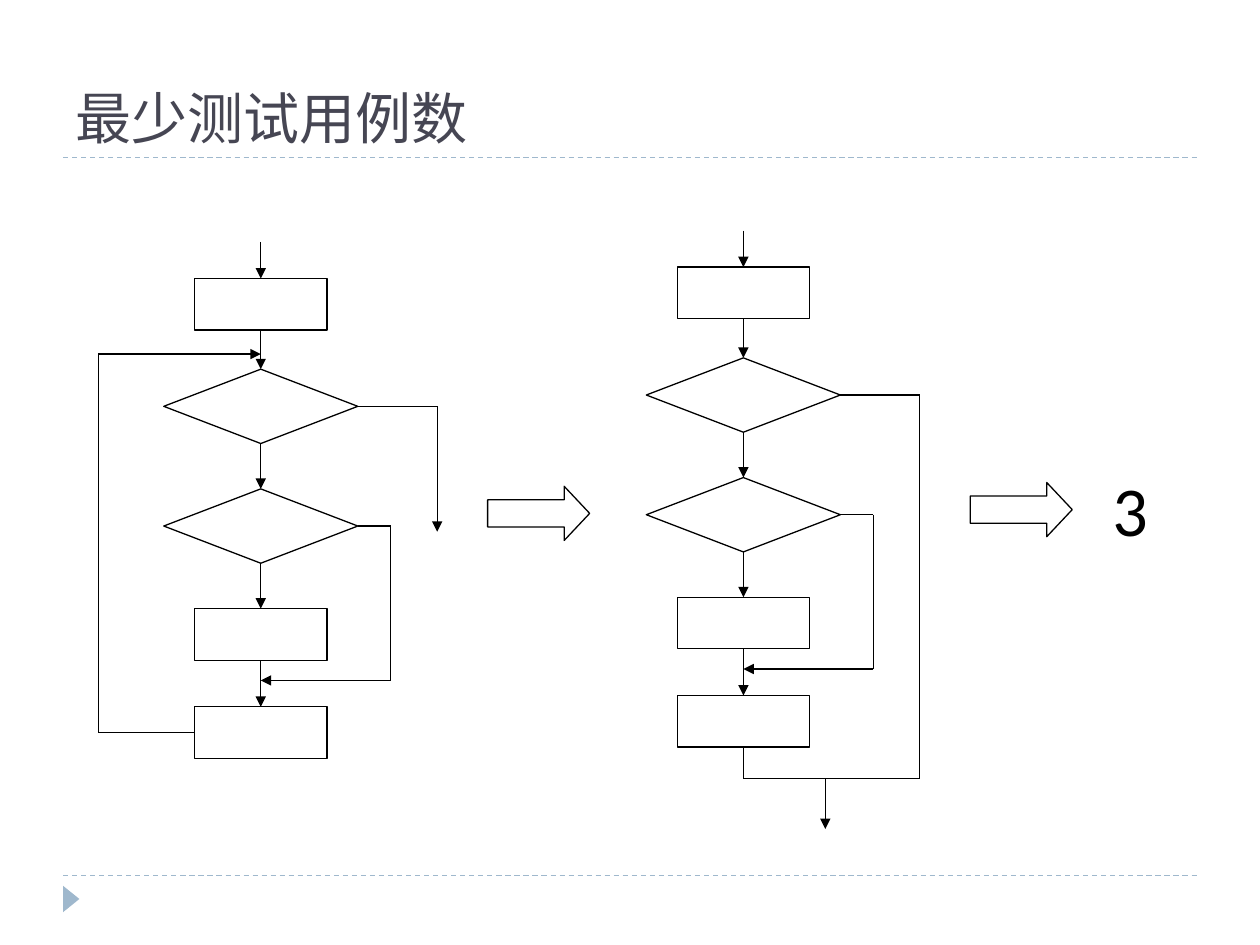
from dataclasses import dataclass
from itertools import pairwise

from lxml.etree import SubElement
from pptx import Presentation
from pptx.dml.color import RGBColor
from pptx.enum.dml import MSO_LINE
from pptx.enum.shapes import MSO_CONNECTOR, MSO_SHAPE
from pptx.enum.text import MSO_ANCHOR, PP_ALIGN
from pptx.oxml.ns import qn
from pptx.util import Inches, Pt


@dataclass(frozen=True)
class Theme:
    ink: RGBColor = RGBColor(0x00, 0x00, 0x00)
    heading: RGBColor = RGBColor(0x46, 0x46, 0x53)
    accent: RGBColor = RGBColor(0x9F, 0xB8, 0xCD)
    heading_font: str = "Noto Sans CJK SC"
    body_font: str = "Calibri"
    heading_size: Pt = Pt(32)
    answer_size: Pt = Pt(40)
    stroke: Pt = Pt(0.75)


THEME = Theme()
TOP, LEFT, BOTTOM, RIGHT = range(4)
BOX_SIZE = Inches(1.05), Inches(0.41)
DIAMOND_SIZE = Inches(1.54), Inches(0.59)


def style_text(frame, font, size, color, alignment):
    para = frame.paragraphs[0]
    para.alignment = alignment
    for span in para.runs:
        span.font.name = font
        span.font.size = size
        span.font.color.rgb = color
        properties = span.font._element
        SubElement(properties, qn("a:ea")).set("typeface", font)


def add_title(page, text):
    title = page.shapes.title
    title.left, title.top = Inches(0.5), Inches(0.17)
    title.width, title.height = Inches(9), Inches(1.08)
    title.text_frame.text = text
    title.text_frame.vertical_anchor = MSO_ANCHOR.BOTTOM
    style_text(title.text_frame, THEME.heading_font, THEME.heading_size,
               THEME.heading, PP_ALIGN.LEFT)


def add_line(page, start, end, color=THEME.ink):
    line = page.shapes.add_connector(MSO_CONNECTOR.STRAIGHT, *start, *end)
    line.line.color.rgb = color
    line.line.width = THEME.stroke
    SubElement(line._element.spPr, qn("a:effectLst"))
    return line


def add_arrowhead(line):
    outline = line.line._get_or_add_ln()
    SubElement(outline, qn("a:tailEnd")).set("type", "triangle")


def add_rule(page, top):
    rule = add_line(page, (Inches(0.5), top), (Inches(9.5), top), THEME.accent)
    rule.line.dash_style = MSO_LINE.DASH


def add_route(page, points, source=None, target=None, arrow=True):
    lines = [add_line(page, start, end) for start, end in pairwise(points)]
    if source:
        lines[0].begin_connect(*source)
    if target:
        lines[-1].end_connect(*target)
    if arrow:
        add_arrowhead(lines[-1])


def add_outline(page, kind, left, top, width, height):
    shape = page.shapes.add_shape(kind, left, top, width, height)
    shape.shadow.inherit = False
    shape.fill.background()
    shape.line.color.rgb = THEME.ink
    shape.line.width = THEME.stroke
    return shape


def add_block_arrow(page, left, top):
    arrow = add_outline(page, MSO_SHAPE.RIGHT_ARROW, left, top,
                        Inches(0.81), Inches(0.43))
    arrow.adjustments[1] = 0.47


def add_corner_mark(page):
    mark = page.shapes.add_shape(MSO_SHAPE.ISOSCELES_TRIANGLE, Inches(0.46),
                                 Inches(7.07), Inches(0.21), Inches(0.13))
    mark.rotation = 90
    mark.shadow.inherit = False
    mark.fill.solid()
    mark.fill.fore_color.rgb = THEME.accent
    mark.line.fill.background()


def add_answer(page, text):
    box = page.shapes.add_textbox(Inches(8.73), Inches(3.65),
                                  Inches(1.03), Inches(0.77))
    box.text_frame.word_wrap = True
    box.text_frame.text = text
    style_text(box.text_frame, THEME.body_font, THEME.answer_size,
               THEME.ink, PP_ALIGN.JUSTIFY)


def middle(shape):
    return shape.top + shape.height // 2


def right_edge(shape):
    return shape.left + shape.width


def add_flow(page, axis, top):
    rows = [
        (MSO_SHAPE.RECTANGLE, BOX_SIZE, Inches(0)),
        (MSO_SHAPE.DIAMOND, DIAMOND_SIZE, Inches(0.72)),
        (MSO_SHAPE.DIAMOND, DIAMOND_SIZE, Inches(1.67)),
        (MSO_SHAPE.RECTANGLE, BOX_SIZE, Inches(2.62)),
        (MSO_SHAPE.RECTANGLE, BOX_SIZE, Inches(3.4)),
    ]
    steps = [add_outline(page, kind, axis - width // 2, top + drop, width, height)
             for kind, (width, height), drop in rows]
    first, outer, inner, _, last = steps

    add_route(page, [(axis, top - Inches(0.29)), (axis, top)],
              target=(first, TOP))
    for upper, lower in pairwise(steps):
        add_route(page, [(axis, upper.top + upper.height), (axis, lower.top)],
                  source=(upper, BOTTOM), target=(lower, TOP))

    bypass = axis + Inches(1.03)
    merge = top + Inches(3.19)
    add_route(page, [(right_edge(inner), middle(inner)), (bypass, middle(inner)),
                     (bypass, merge), (axis, merge)], source=(inner, RIGHT))
    return outer, last


def add_loop_flow(page, axis, top):
    outer, last = add_flow(page, axis, top)
    way_out = axis + Inches(1.4)
    add_route(page, [(right_edge(outer), middle(outer)), (way_out, middle(outer)),
                     (way_out, Inches(4.22))], source=(outer, RIGHT))
    way_back, entry = Inches(0.78), Inches(2.81)
    add_route(page, [(last.left, middle(last)), (way_back, middle(last)),
                     (way_back, entry), (axis, entry)], source=(last, LEFT))


def add_unrolled_flow(page, axis, top):
    outer, last = add_flow(page, axis, top)
    way_out, join, leave = axis + Inches(1.4), Inches(6.18), Inches(6.55)
    add_route(page, [(right_edge(outer), middle(outer)), (way_out, middle(outer)),
                     (way_out, join), (axis, join),
                     (axis, last.top + last.height)],
              source=(outer, RIGHT), target=(last, BOTTOM), arrow=False)
    add_route(page, [(leave, join), (leave, Inches(6.58))])


def main():
    deck = Presentation()
    deck.slide_width, deck.slide_height = Inches(10), Inches(7.5)
    page = deck.slides.add_slide(deck.slide_layouts[5])
    for rule_top in (Inches(6.95), Inches(1.25)):
        add_rule(page, rule_top)
    add_corner_mark(page)
    add_title(page, "最少测试用例数")
    add_loop_flow(page, Inches(2.07), Inches(2.21))
    add_block_arrow(page, Inches(3.87), Inches(3.86))
    add_unrolled_flow(page, Inches(5.9), Inches(2.12))
    add_block_arrow(page, Inches(7.7), Inches(3.83))
    add_answer(page, "3")
    deck.save("out.pptx")


if __name__ == "__main__":
    main()
